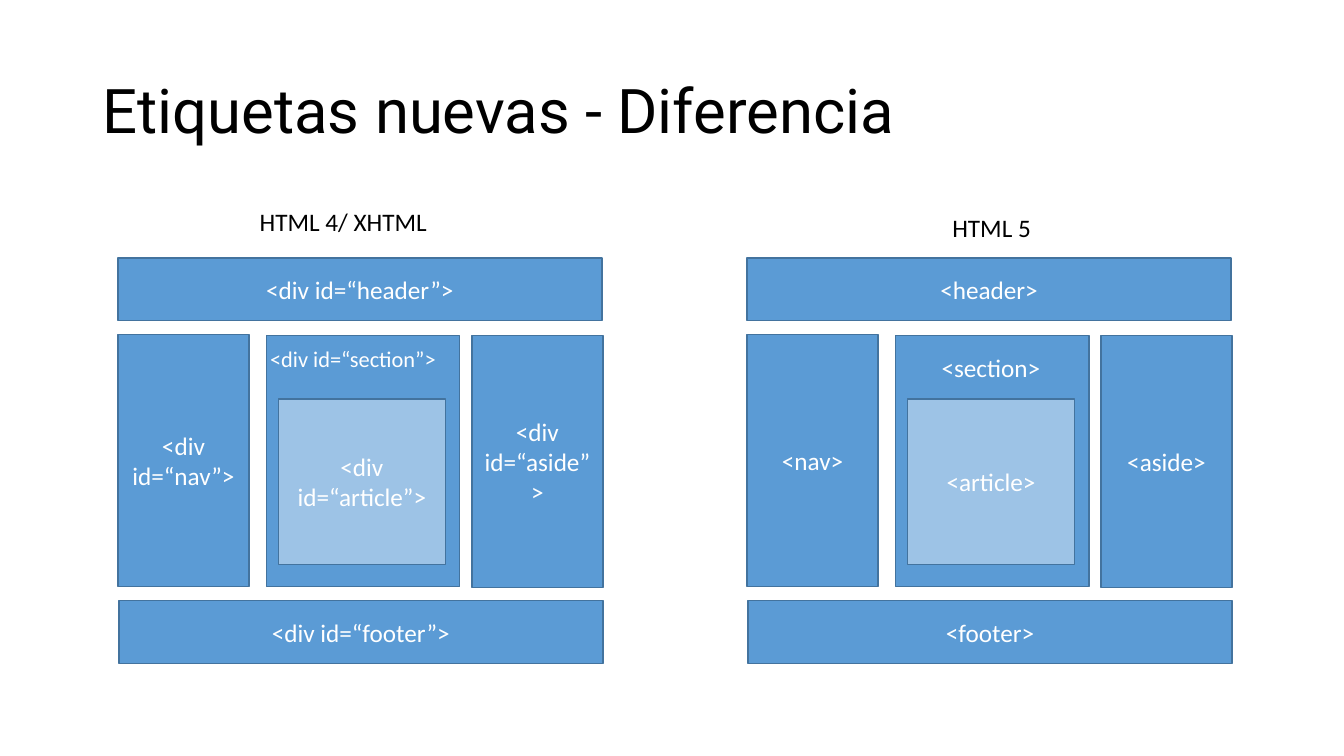
from pptx import Presentation
from pptx.dml.color import RGBColor
from pptx.enum import shapes, text
from pptx.util import Inches, Pt

BLACK = RGBColor(0x00, 0x00, 0x00)
WHITE = RGBColor(0xFF, 0xFF, 0xFF)
BLUE = RGBColor(0x5B, 0x9B, 0xD5)
LIGHT_BLUE = RGBColor(0x9D, 0xC3, 0xE6)
BORDER = RGBColor(0x43, 0x73, 0x9E)

# Block name: left, top, width, height (inches from the page corner), fill
BLOCKS = {
    "header": (0, 0, 4.8, 0.62, BLUE),
    "nav": (0, 0.76, 1.3, 2.5, BLUE),
    "aside": (3.51, 0.77, 1.3, 2.5, BLUE),
    "section": (1.47, 0.77, 1.92, 2.49, BLUE),
    "footer": (0.01, 3.4, 4.8, 0.62, BLUE),
    "article": (1.59, 1.4, 1.66, 1.64, LIGHT_BLUE),
}


def write(sp, content, size, color, font="Calibri", align=text.PP_ALIGN.CENTER):
    tf = sp.text_frame
    tf.word_wrap = True
    p = tf.paragraphs[0]
    p.text = content
    p.alignment = align
    r = p.runs[0]
    r.font.name = font
    r.font.size = Pt(size)
    r.font.color.rgb = color


def add_text(parent, box, content, size, color, **style):
    sp = parent.add_textbox(*map(Inches, box))
    write(sp, content, size, color, **style)
    return sp


def add_block(parent, box, fill):
    sp = parent.add_shape(shapes.MSO_SHAPE.RECTANGLE, *map(Inches, box))
    sp.shadow.inherit = False
    sp.fill.solid()
    sp.fill.fore_color.rgb = fill
    sp.line.color.rgb = BORDER
    sp.line.width = Pt(1)
    sp.text_frame.vertical_anchor = text.MSO_ANCHOR.MIDDLE
    return sp


def add_title(slide, box):
    sp = add_text(slide.shapes, box, "Etiquetas nuevas - Diferencia", 44, BLACK,
                  font="Roboto", align=text.PP_ALIGN.LEFT)
    sp.text_frame.vertical_anchor = text.MSO_ANCHOR.MIDDLE
    sp.text_frame.paragraphs[0].line_spacing = 0.9


def add_page(slide, left, top, tag, section_box, section_size):
    """Draw a page layout; tag is the pattern that labels each block."""
    page = slide.shapes.add_group_shape().shapes
    for name, (x, y, width, height, fill) in BLOCKS.items():
        sp = add_block(page, (left + x, top + y, width, height), fill)
        if name != "section":
            write(sp, tag.format(name), 18, WHITE)
    x, y, width, height = section_box
    add_text(page, (left + x, top + y, width, height), tag.format("section"),
             section_size, WHITE, align=text.PP_ALIGN.LEFT)


def main():
    prs = Presentation()
    prs.slide_width, prs.slide_height = Inches(13.33), Inches(7.5)
    slide = prs.slides.add_slide(prs.slide_layouts[6])

    add_title(slide, (0.92, 0.4, 11.5, 1.45))
    add_page(slide, 7.41, 2.56, "<{}>", (1.83, 0.89, 1.34, 0.4), 18)
    add_page(slide, 1.17, 2.56, "<div id=“{}”>", (1.41, 0.82, 2.32, 0.37), 16)
    add_text(slide.shapes, (1.82, 2, 3.17, 0.4), "HTML 4/ XHTML", 18, BLACK)
    add_text(slide.shapes, (8.25, 2.06, 3.17, 0.4), "HTML 5", 18, BLACK)

    prs.save("out.pptx")


if __name__ == "__main__":
    main()
